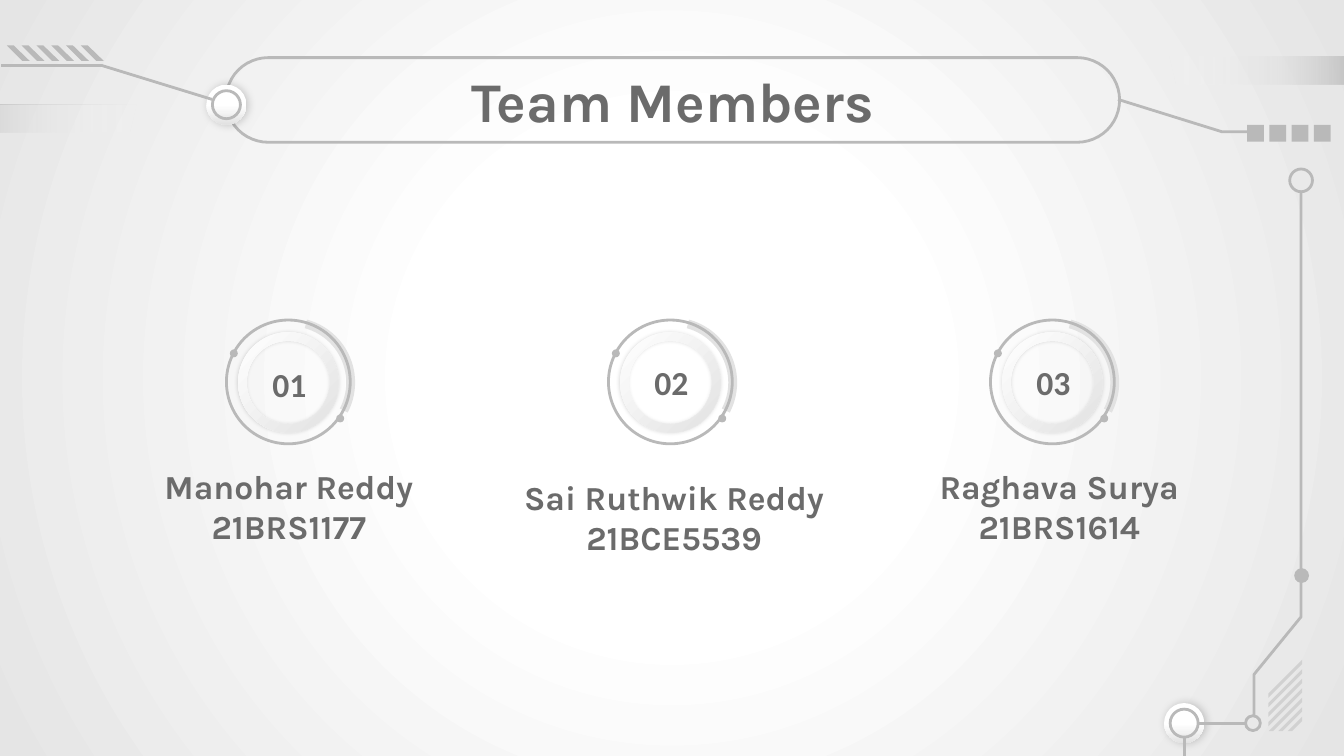
from lxml import etree
from pptx import Presentation
from pptx.dml.color import RGBColor
from pptx.enum.shapes import MSO_CONNECTOR, MSO_SHAPE
from pptx.enum.text import MSO_ANCHOR, MSO_AUTO_SIZE, PP_ALIGN
from pptx.oxml.ns import qn
from pptx.util import Cm, Pt

OVAL = MSO_SHAPE.OVAL
DONUT = MSO_SHAPE.DONUT
ARC = MSO_SHAPE.BLOCK_ARC
PILL = MSO_SHAPE.ROUNDED_RECTANGLE
SQUARE = MSO_SHAPE.RECTANGLE
SLANTED_BAR = MSO_SHAPE.PARALLELOGRAM
STRAIGHT = MSO_CONNECTOR.STRAIGHT
MIDDLE = MSO_ANCHOR.MIDDLE
CENTER = PP_ALIGN.CENTER
NO_AUTOFIT = MSO_AUTO_SIZE.NONE

GRAY = "B9B9B9"
PALE = "E2E2E2"
HATCH = "D1D1D1"
TEXT = "6B6B6B"
WHITE = "FFFFFF"
# Gradient stops: position in %, colour, opacity in %
BACKDROP = [(0, WHITE, 100), (32, WHITE, 100), (100, "E5E5E5", 100)]
FADE = [(0, GRAY, 100), (43, "DCDCDC", 42), (100, WHITE, 0)]
BEVEL = [(0, WHITE, 100), (100, PALE, 100)]
KNOB = [(0, WHITE, 100), (50, WHITE, 100), (100, PALE, 100)]

# Number, number top, name and registration, name top
MEMBERS = [
    ("01", 6.76, "Manohar Reddy\v21BRS1177", 9.07),
    ("02", 6.73, "Sai Ruthwik Reddy\v21BCE5539", 9.27),
    ("03", 6.73, "Raghava Surya\v21BRS1614", 9.07),
]
BADGE_STEP = 7.22
NAME_STEP = 7.28


def color(value):
    return RGBColor.from_string(value)


def add_xml(parent, tag, **attributes):
    return etree.SubElement(parent, qn(tag), attributes)


def apply_gradient(fill, properties, stops, angle=None):
    """Give a gradient fill: linear at an angle, or circular without one."""
    fill.solid()
    gradient = etree.Element(qn("a:gradFill"), rotWithShape="1")
    stop_list = add_xml(gradient, "a:gsLst")
    for position, value, opacity in stops:
        stop = add_xml(stop_list, "a:gs", pos=str(position * 1000))
        stop_color = add_xml(stop, "a:srgbClr", val=value)
        if opacity < 100:
            add_xml(stop_color, "a:alpha", val=str(opacity * 1000))
    if angle is None:
        circle = add_xml(gradient, "a:path", path="circle")
        add_xml(circle, "a:fillToRect", l="50000", t="50000", r="50000", b="50000")
    else:
        add_xml(gradient, "a:lin", ang=str(angle * 60000), scaled="0")
    properties.replace(properties.find(qn("a:solidFill")), gradient)


class Designer:
    """Holds the style and the current slide."""

    font = "Karla"
    number_font = "Calibri"
    line_width = Pt(1.5)
    inset = Cm(0.25)

    def __init__(self, slide):
        self.slide = slide
        self.shapes = slide.shapes

    def backdrop(self, stops):
        fill = self.slide.background.fill
        fill.solid()
        apply_gradient(fill, self.slide.element.cSld.bg.bgPr, stops)

    def paint(self, shape, fill=None, line=None):
        shape.shadow.inherit = False
        if fill:
            shape.fill.solid()
            shape.fill.fore_color.rgb = color(fill)
        else:
            shape.fill.background()
        if line:
            shape.line.color.rgb = color(line)
            shape.line.width = self.line_width
        else:
            shape.line.fill.background()

    def shape(self, kind, left, top, width, height, fill=None, line=None, adjustments=()):
        shape = self.shapes.add_shape(kind, Cm(left), Cm(top), Cm(width), Cm(height))
        for index, value in enumerate(adjustments):
            shape.adjustments[index] = value
        self.paint(shape, fill, line)
        return shape

    def circle(self, x, y, size, fill=None, line=None):
        """Draw a circle around the centre x, y."""
        return self.shape(OVAL, x - size / 2, y - size / 2, size, size, fill, line)

    def gradient(self, shape, stops, angle):
        apply_gradient(shape.fill, shape.element.spPr, stops, angle)

    def shadow(self, shape, opacity, blur, distance):
        effects = shape.element.spPr.find(qn("a:effectLst"))
        outer = add_xml(effects, "a:outerShdw", blurRad=str(Pt(blur)),
                        dist=str(Pt(distance)), dir="0", algn="ctr", rotWithShape="0")
        shade = add_xml(outer, "a:srgbClr", val="000000")
        add_xml(shade, "a:alpha", val=str(opacity * 1000))

    def fading_bar(self, left, top, flipped=False):
        bar = self.shape(SLANTED_BAR, left, top, 3.71, 0.53, adjustments=[0.25])
        self.gradient(bar, FADE, 0)
        if flipped:
            bar.element.spPr.xfrm.set("flipH", "1")

    def outline(self, points, fill=None, line=None):
        """Draw a closed shape when filled, otherwise an open line."""
        start, *others = [(Cm(x), Cm(y)) for x, y in points]
        builder = self.shapes.build_freeform(*start)
        builder.add_line_segments(others, close=bool(fill))
        self.paint(builder.convert_to_shape(), fill, line)

    def line(self, x1, y1, x2, y2):
        connector = self.shapes.add_connector(STRAIGHT, Cm(x1), Cm(y1), Cm(x2), Cm(y2))
        connector.line.color.rgb = color(GRAY)
        connector.line.width = self.line_width
        add_xml(connector.element.spPr, "a:effectLst")

    def knob(self, x, y):
        base = self.circle(x, y, 0.76)
        self.gradient(base, KNOB, 90)
        self.shadow(base, 19, 4.5, 0.8)
        self.circle(x, y, 0.53, line=GRAY)

    def badge(self, x, y):
        arc = self.shape(ARC, x - 1.2, y - 1.22, 2.46, 2.46, PALE,
                         adjustments=[108.12, 169.544, 0.068])
        arc.rotation = 105
        self.circle(x, y, 2.34, line=GRAY)
        self.circle(x + 0.98, y + 0.69, 0.15, GRAY)
        self.circle(x - 1.03, y - 0.54, 0.15, GRAY)
        bevel = self.shape(DONUT, x - 0.95, y - 0.94, 1.9, 1.9, adjustments=[0.086])
        self.gradient(bevel, BEVEL, 45)
        self.shadow(bevel, 14, 2.2, 0)

    def fill_text(self, shape, text, size, font):
        frame = shape.text_frame
        frame.text = text
        frame.word_wrap = True
        frame.auto_size = NO_AUTOFIT
        frame.vertical_anchor = MIDDLE
        frame.margin_left = frame.margin_right = self.inset
        frame.margin_top = frame.margin_bottom = self.inset
        for paragraph in frame.paragraphs:
            paragraph.alignment = CENTER
            for run in paragraph.runs:
                run.font.name = font
                run.font.size = Pt(size)
                run.font.bold = True
                run.font.color.rgb = color(TEXT)

    def text(self, left, top, width, height, text, font):
        box = self.shapes.add_textbox(Cm(left), Cm(top), Cm(width), Cm(height))
        self.fill_text(box, text, 18, font)

    def title(self, left, top, width, height, text):
        title = self.shapes.title
        title.left, title.top = Cm(left), Cm(top)
        title.width, title.height = Cm(width), Cm(height)
        self.fill_text(title, text, 30, self.font)


def draw_header(designer):
    designer.fading_bar(22.1, 1.07, flipped=True)
    designer.fading_bar(-1.14, 1.98)
    designer.shape(PILL, 4.27, 1.09, 16.89, 1.6, line=GRAY, adjustments=[0.5])
    designer.title(2.01, 1.09, 21.41, 1.6, "Team Members")
    designer.outline([(23.62, 2.49), (23.09, 2.49), (21.13, 1.88)], line=GRAY)
    for index in range(4):
        designer.shape(SQUARE, 23.57 + 0.42 * index, 2.36, 0.32, 0.32, GRAY)
    for index in range(6):
        x = 0.13 + 0.28 * index
        designer.outline([(x, 0.86), (x + 0.29, 1.15), (x + 0.43, 1.15), (x + 0.13, 0.86)], GRAY)
    designer.knob(4.28, 1.98)
    designer.outline([(0.02, 1.24), (1.93, 1.24), (4.01, 1.88)], line=GRAY)


def draw_circuit(designer):
    designer.circle(24.59, 3.41, 0.43, line=GRAY)
    designer.circle(23.68, 13.67, 0.28, line=GRAY)
    right, bottom, reach, thickness = 24.61, 13.82, 0.64, 0.08
    for index in range(7):
        top = 12.47 + 0.18 * index
        upper = min(reach, bottom - top)
        lower = min(reach, bottom - top - thickness)
        designer.outline([(right, top), (right - upper, top + upper),
                          (right - lower, top + thickness + lower),
                          (right, top + thickness)], HATCH)
    designer.knob(22.38, 13.67)
    designer.line(23.54, 13.67, 22.64, 13.67)
    designer.line(22.38, 13.93, 22.38, 14.29)
    designer.outline([(23.7, 13.54), (23.7, 12.75), (24.59, 11.66), (24.59, 3.63)], line=GRAY)
    designer.circle(24.6, 10.88, 0.28, GRAY)


def main():
    presentation = Presentation()
    presentation.slide_width, presentation.slide_height = Cm(25.4), Cm(14.29)
    designer = Designer(presentation.slides.add_slide(presentation.slide_layouts[5]))
    designer.backdrop(BACKDROP)
    draw_header(designer)
    for index, (number, number_top, name, name_top) in enumerate(MEMBERS):
        offset = BADGE_STEP * index
        designer.badge(5.45 + offset, 7.22)
        designer.text(4.62 + offset, number_top, 1.7, 1, number, designer.number_font)
        designer.text(1.98 + NAME_STEP * index, name_top, 6.96, 1, name, designer.font)
    draw_circuit(designer)
    presentation.save("out.pptx")


if __name__ == "__main__":
    main()
